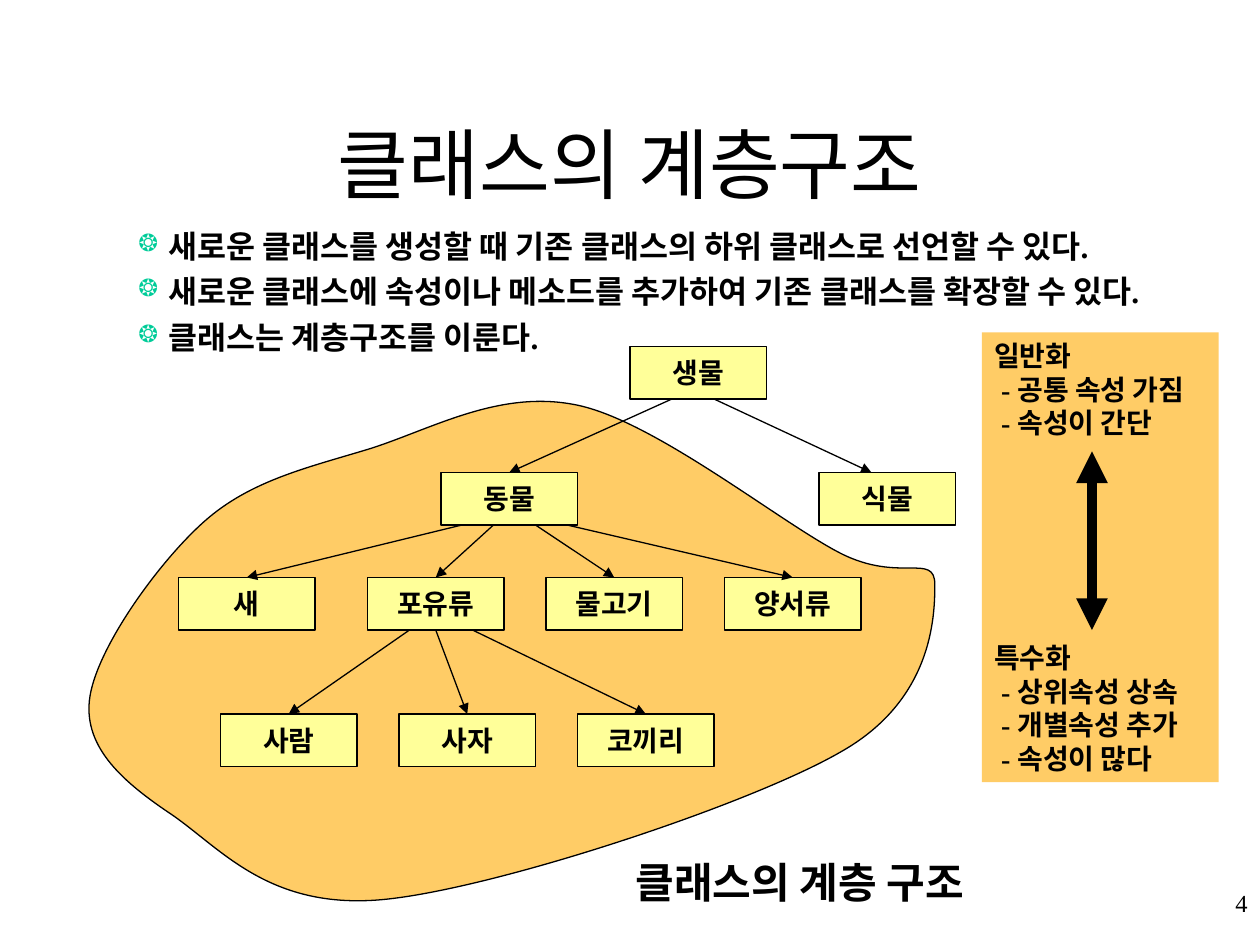
import dataclasses
import itertools
from typing import Optional

import lxml.etree
import pptx
import pptx.dml.color
import pptx.enum.shapes
import pptx.enum.text
import pptx.oxml.ns
import pptx.util

Pt = pptx.util.Pt
qn = pptx.oxml.ns.qn
ALIGN = pptx.enum.text.PP_ALIGN
ANCHOR = pptx.enum.text.MSO_ANCHOR
RECT = pptx.enum.shapes.MSO_SHAPE.RECTANGLE
STRAIGHT = pptx.enum.shapes.MSO_CONNECTOR.STRAIGHT

FONT = "Times New Roman"
COLORS = {"ink": "000000", "node": "FFFF99", "area": "FFCC66", "bullet": "00CC99"}
NODE_W, NODE_H = 78, 30
JOIN_TOLERANCE = 4


@dataclasses.dataclass(frozen=True)
class Node:
    name: str
    x: float
    y: float

    @property
    def mid(self) -> float:
        return self.x + NODE_W / 2


@dataclasses.dataclass(frozen=True)
class Link:
    parent: str
    child: str
    x1: float
    x2: float


@dataclasses.dataclass(frozen=True)
class Line:
    text: str
    indent: float = 0
    before: float = 0
    bullet: Optional[str] = None


NODES = [
    Node("생물", 360, 198),
    Node("동물", 252, 270), Node("식물", 468, 270),
    Node("새", 102, 330), Node("포유류", 210, 330),
    Node("물고기", 312, 330), Node("양서류", 414, 330),
    Node("사람", 126, 408), Node("사자", 228, 408), Node("코끼리", 330, 408),
]
LINKS = [
    Link("생물", "동물", 384, 294), Link("생물", "식물", 408, 498),
    Link("동물", "새", 264, 138), Link("동물", "포유류", 282, 246),
    Link("동물", "물고기", 306, 348), Link("동물", "양서류", 324, 450),
    Link("포유류", "사람", 234, 168), Link("포유류", "사자", 252, 264),
    Link("포유류", "코끼리", 270, 366),
]
BLOB_START = (98.6, 465.8)
BLOB_CURVES = [
    (70.6, 447.1), (48.2, 427.7), (51.1, 400.3),
    (54, 372.2), (90, 321.8), (116.6, 298.1),
    (143.3, 274.3), (176.4, 267.1), (211.7, 256.3),
    (247.7, 244.8), (286.6, 221.8), (331.2, 231.8),
    (375.8, 241.9), (446.4, 298.8), (480.2, 316.1),
    (514.1, 333.4), (534.2, 315.4), (534.2, 334.1),
    (534.2, 352.8), (532.8, 400.3), (480.2, 429.8),
    (427.7, 460.1), (281.5, 508.3), (218.2, 514.1),
    (154.1, 519.8), (126.7, 485.3), (98.6, 465.8),
]
BULLETS = [
    "새로운 클래스를 생성할 때 기존 클래스의 하위 클래스로 선언할 수 있다.",
    "새로운 클래스에 속성이나 메소드를 추가하여 기존 클래스를 확장할 수 있다.",
    "클래스는 계층구조를 이룬다.",
]
PANEL = [
    Line("일반화"), Line("- 공통 속성 가짐", 4), Line("- 속성이 간단", 4),
    Line("특수화", before=115), Line("- 상위속성 상속", 4),
    Line("- 개별속성 추가", 4), Line("- 속성이 많다", 4),
]


def rgb(key: str) -> pptx.dml.color.RGBColor:
    """Return the named colour."""
    return pptx.dml.color.RGBColor.from_string(COLORS[key])


def style(sp, fill: str, outlined: bool = True) -> None:
    """Give a shape its flat fill and thin outline."""
    sp.shadow.inherit = False
    sp.fill.solid()
    sp.fill.fore_color.rgb = rgb(fill)
    if outlined:
        sp.line.color.rgb = rgb("ink")
        sp.line.width = Pt(0.75)
    else:
        sp.line.fill.background()


def add_bullet(p, char: str, hang: float) -> None:
    """Give a paragraph a coloured hanging bullet."""
    pPr = p._p.get_or_add_pPr()
    pPr.set("marL", str(Pt(hang)))
    pPr.set("indent", str(-Pt(hang)))
    clr = lxml.etree.SubElement(pPr, qn("a:buClr"))
    lxml.etree.SubElement(clr, qn("a:srgbClr"), val=COLORS["bullet"])
    lxml.etree.SubElement(pPr, qn("a:buSzPct"), val="75000")
    lxml.etree.SubElement(pPr, qn("a:buChar"), char=char)


def write(sp, lines: list[Line], size: float, bold: bool = True, align=ALIGN.LEFT,
          anchor=ANCHOR.TOP, wrap: bool = False) -> None:
    """Fill a shape with styled paragraphs."""
    tf = sp.text_frame
    tf.word_wrap = wrap
    tf.vertical_anchor = anchor
    for i, line in enumerate(lines):
        p = tf.add_paragraph() if i else tf.paragraphs[0]
        p.alignment = align
        if line.bullet:
            add_bullet(p, line.bullet, line.indent)
        elif line.indent:
            p._p.get_or_add_pPr().set("marL", str(Pt(line.indent)))
        if line.before:
            p.space_before = Pt(line.before)
        r = p.add_run()
        r.text = line.text
        r.font.name = FONT
        r.font.size = Pt(size)
        r.font.bold = bold
        r.font.color.rgb = rgb("ink")


def add_text(s, x: float, y: float, w: float, h: float, lines: list[Line],
             size: float, **options) -> None:
    """Add a text box."""
    write(s.shapes.add_textbox(Pt(x), Pt(y), Pt(w), Pt(h)), lines, size, **options)


def add_blob(s) -> None:
    """Add the closed curved area behind the animal classes."""
    points = [(Pt(x), Pt(y)) for x, y in BLOB_CURVES]
    builder = s.shapes.build_freeform(*(Pt(v) for v in BLOB_START))
    builder.add_line_segments(points, close=True)
    sp = builder.convert_to_shape()
    style(sp, "area")
    path = next(sp._element.iter(qn("a:path")))
    segments = path.findall(qn("a:lnTo"))
    for triple in zip(*[iter(segments)] * 3):
        curve = lxml.etree.Element(qn("a:cubicBezTo"))
        triple[0].addprevious(curve)
        for segment in triple:
            curve.append(segment[0])
            path.remove(segment)


def add_node(s, node: Node):
    """Add one class box."""
    sp = s.shapes.add_shape(RECT, Pt(node.x), Pt(node.y), Pt(NODE_W), Pt(NODE_H))
    style(sp, "node")
    write(sp, [Line(node.name)], 16, align=ALIGN.CENTER, anchor=ANCHOR.MIDDLE)
    return sp


def add_arrow(s, x1: float, y1: float, x2: float, y2: float, width: float = 0.75,
              ends: tuple[str, ...] = ("tailEnd",)):
    """Add a straight line with triangle heads."""
    c = s.shapes.add_connector(STRAIGHT, Pt(x1), Pt(y1), Pt(x2), Pt(y2))
    c.line.color.rgb = rgb("ink")
    c.line.width = Pt(width)
    for end in ends:
        lxml.etree.SubElement(c.line._get_or_add_ln(), qn(f"a:{end}"), type="triangle")
    lxml.etree.SubElement(c._element.spPr, qn("a:effectLst"))
    return c


def add_tree(s) -> None:
    """Add the class boxes and the arrows between them."""
    boxes = {node.name: (node, add_node(s, node)) for node in NODES}
    for link in LINKS:
        (parent, top), (child, low) = boxes[link.parent], boxes[link.child]
        c = add_arrow(s, link.x1, parent.y + NODE_H, link.x2, child.y)
        if abs(link.x1 - parent.mid) < JOIN_TOLERANCE:
            c.begin_connect(top, 2)
        if abs(link.x2 - child.mid) < JOIN_TOLERANCE:
            c.end_connect(low, 0)


def main() -> None:
    """Build the class hierarchy slide."""
    prs = pptx.Presentation()
    prs.slide_width, prs.slide_height = Pt(720), Pt(540)
    s = prs.slides.add_slide(prs.slide_layouts[6])
    add_text(s, 54, 48, 612, 90, [Line("클래스의 계층구조")], 44, bold=False,
             align=ALIGN.CENTER, anchor=ANCHOR.MIDDLE, wrap=True)
    add_blob(s)
    add_tree(s)
    panel = s.shapes.add_shape(RECT, Pt(561), Pt(190), Pt(135.4), Pt(257))
    style(panel, "area", outlined=False)
    write(panel, PANEL, 16)
    add_arrow(s, 624, 258, 624, 360, 6, ("headEnd", "tailEnd"))
    add_text(s, 356, 486, 214.5, 36, [Line("클래스의 계층 구조")], 24)
    spacing = itertools.chain([0], itertools.repeat(4.5))
    bullets = [Line(text, 17.3, gap, "❂") for text, gap in zip(BULLETS, spacing)]
    add_text(s, 72, 126, 654, 81, bullets, 18, wrap=True)
    add_text(s, 570, 504, 150, 36, [Line("4")], 14, bold=False,
             align=ALIGN.RIGHT, wrap=True)
    prs.save("out.pptx")


if __name__ == "__main__":
    main()
